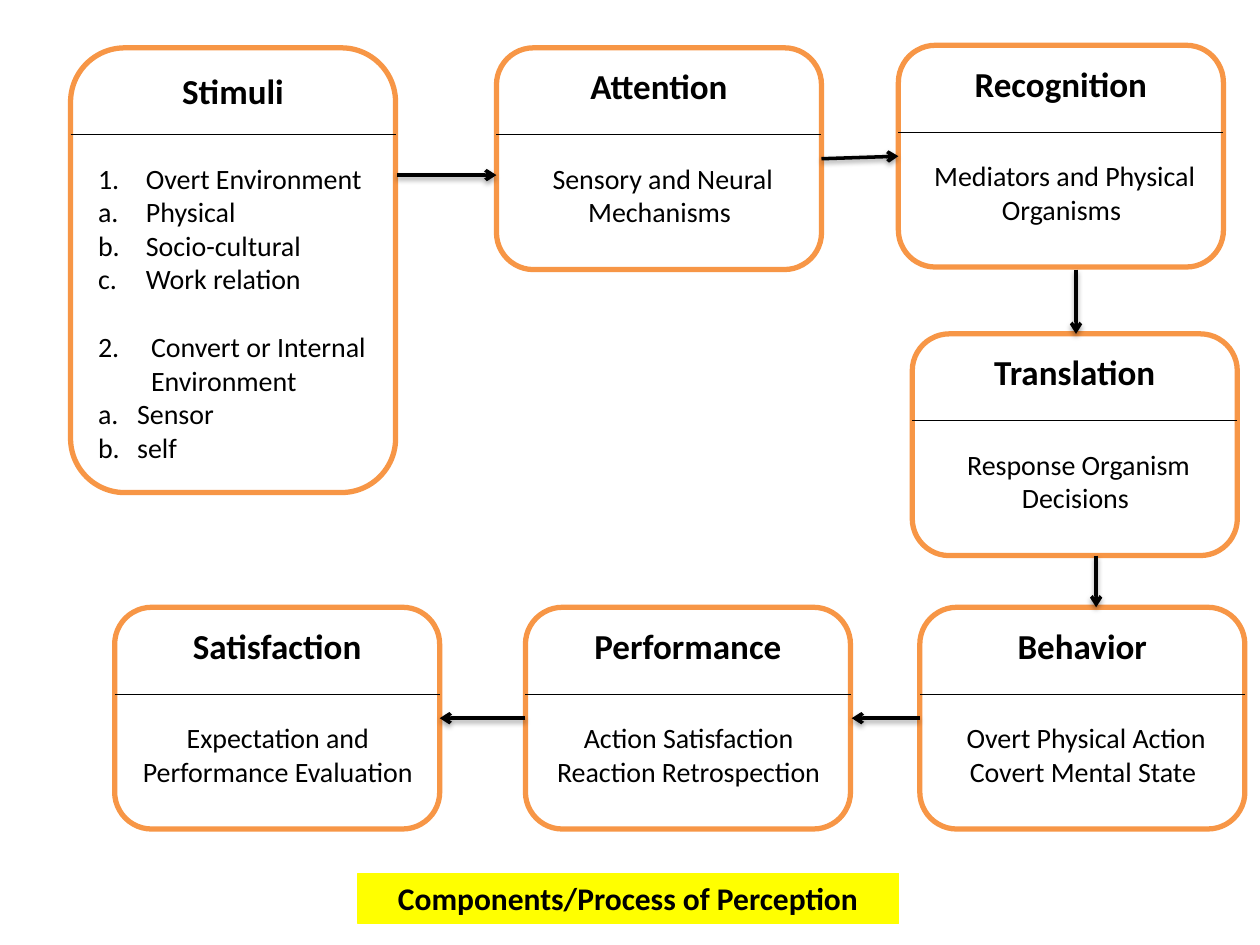
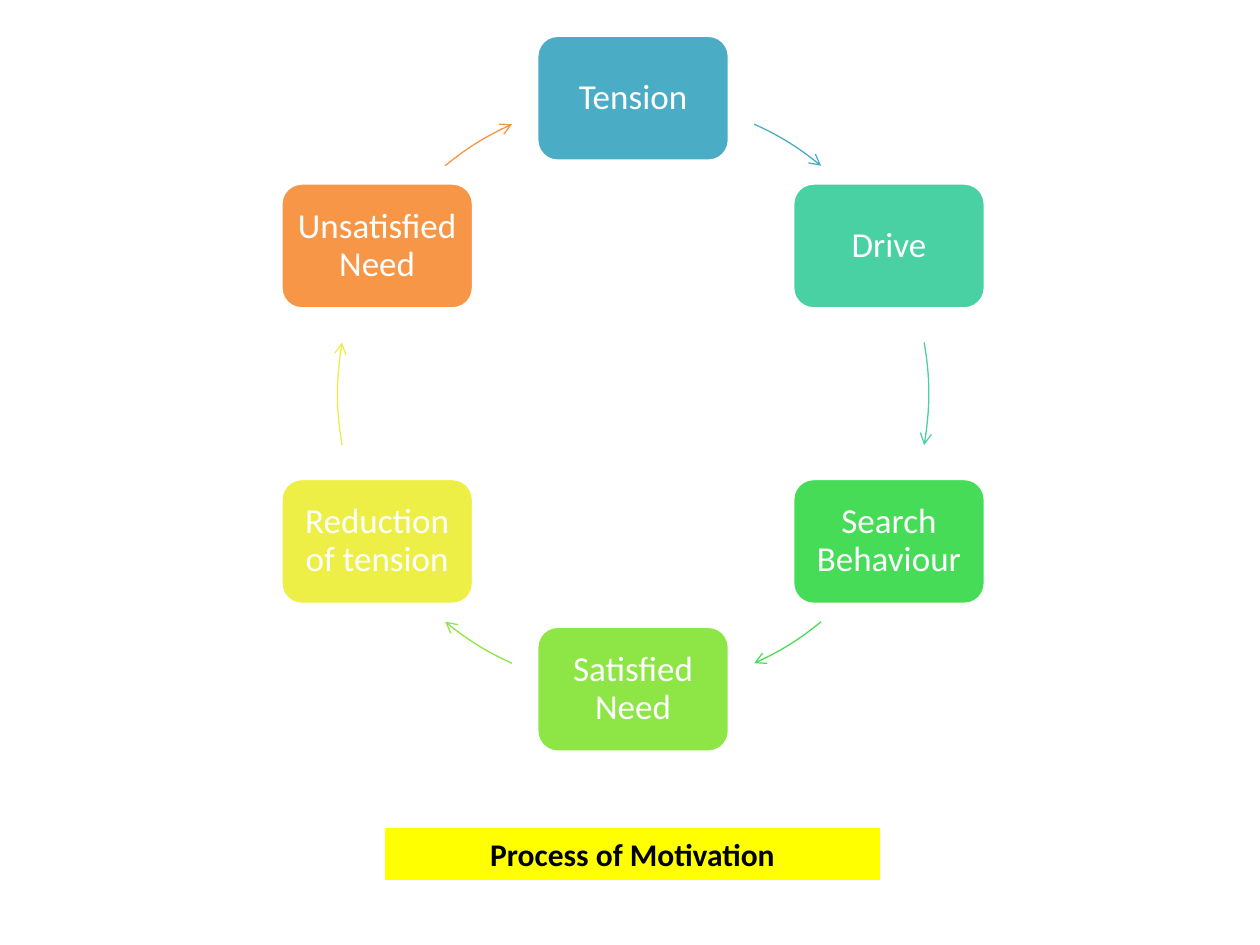
import math

from lxml import etree
from pptx import Presentation
from pptx import util as u
from pptx.dml.color import RGBColor
from pptx.enum import shapes, text
from pptx.oxml.ns import qn

FONT = "Calibri"
BLACK, WHITE, YELLOW, ORANGE = "000000", "FFFFFF", "FFFF00", "F79646"
CARD_WIDTH, CARD_HEIGHT = 2.58, 1.76

# name: (left, top, details)
STAGES = {
    "Attention": (3.94, 0.38, " Sensory and Neural Mechanisms"),
    "Recognition": (7.13, 0.36, " Mediators and Physical Organisms"),
    "Translation": (7.24, 2.65, " Response Organism Decisions"),
    "Behavior": (7.3, 4.82, " Overt Physical Action Covert Mental State"),
    "Performance": (4.17, 4.82, "Action Satisfaction Reaction Retrospection"),
    "Satisfaction": (0.91, 4.82, "Expectation and Performance Evaluation"),
}

FLOW = [
    ((3.15, 1.39), (3.94, 1.39)),
    ((6.52, 1.26), (7.13, 1.24)),
    ((8.54, 2.14), (8.54, 2.65)),
    ((8.7, 4.41), (8.7, 4.82)),
    ((7.3, 5.7), (6.76, 5.7)),
    ((4.17, 5.7), (3.49, 5.7)),
]

# text, numbering scheme, first number, indent, space before in points
STIMULI = [
    ("Overt Environment", "arabicPeriod", 1, 0.38, 0),
    ("Physical", "alphaLcPeriod", 1, 0.38, 0),
    ("Socio-cultural", "alphaLcPeriod", 1, 0.38, 0),
    ("Work relation", "alphaLcPeriod", 1, 0.38, 0),
    ("Convert or Internal Environment", "arabicPeriod", 2, 0.42, 19.5),
    ("Sensor", "alphaLcPeriod", 1, 0.31, 0),
    ("self", "alphaLcPeriod", 1, 0.31, 0),
]

CYCLE = [
    ("Tension", "4BACC6"),
    ("Drive", "49D1A3"),
    ("Search Behaviour", "47DC57"),
    ("Satisfied Need", "8DE646"),
    ("Reduction of tension", "EEEF46"),
    ("Unsatisfied Need", ORANGE),
]
CYCLE_LEFT, CYCLE_TOP, CYCLE_SIZE = 2.68, 0.78, 4.69
CYCLE_RADIUS = CYCLE_SIZE / 2
STEP_WIDTH, STEP_HEIGHT = 1.53, 1
# clockwise degrees from the top
ARC_SPANS = [(24.2, 39.5), (80, 100), (140.5, 155.8),
             (204.2, 219.5), (260, 280), (320.5, 335.8)]


def color(hex_value):
    return RGBColor.from_string(hex_value)


def inches(*lengths):
    return [u.Inches(length) for length in lengths]


def paint(shape, fill, line, width):
    shape.fill.solid()
    shape.fill.fore_color.rgb = color(fill)
    stroke(shape, line, width)


def stroke(shape, line, width):
    shape.line.color.rgb = color(line)
    shape.line.width = u.Pt(width)


def add_arrowhead(shape):
    etree.SubElement(shape.line._get_or_add_ln(), qn("a:tailEnd"), type="arrow")


def write(paragraph, words, size=16, bold=False, ink=BLACK,
          align=text.PP_ALIGN.CENTER, spacing=1.0):
    paragraph.text = words
    paragraph.alignment = align
    paragraph.line_spacing = spacing
    font = paragraph.font
    font.name, font.size, font.bold = FONT, u.Pt(size), bold
    font.color.rgb = color(ink)


def number(paragraph, scheme, start, indent):
    props = paragraph._p.get_or_add_pPr()
    props.set("marL", str(u.Inches(indent)))
    props.set("indent", str(-u.Inches(indent)))
    bullet_font = etree.SubElement(props, qn("a:buFont"))
    bullet_font.set("typeface", "+mj-lt")
    numbering = etree.SubElement(props, qn("a:buAutoNum"), type=scheme)
    if start > 1:
        numbering.set("startAt", str(start))


def add_caption(slide, words, left, top, width):
    """Use the slide title as the yellow strip below the diagram."""
    title = slide.shapes.title
    title.left, title.top, title.width, title.height = inches(left, top, width, 0.4)
    paint(title, YELLOW, YELLOW, 0.75)
    frame = title.text_frame
    frame.auto_size = text.MSO_AUTO_SIZE.NONE
    frame.vertical_anchor = text.MSO_ANCHOR.MIDDLE
    write(frame.paragraphs[0], words, size=18, bold=True)


def add_rounded(slide, left, top, width, height, fill, line, line_width):
    box = slide.shapes.add_shape(shapes.MSO_SHAPE.ROUNDED_RECTANGLE,
                                 *inches(left, top, width, height))
    box.shadow.inherit = False
    paint(box, fill, line, line_width)
    box.text_frame.word_wrap = True
    return box


def add_line(slide, start, end, width):
    """Draw a black line and return it with its empty effect list."""
    line = slide.shapes.add_connector(shapes.MSO_CONNECTOR.STRAIGHT,
                                      *inches(*start, *end))
    stroke(line, BLACK, width)
    effects = etree.SubElement(line._element.spPr, qn("a:effectLst"))
    return line, effects


def add_flow_arrow(slide, start, end):
    arrow, effects = add_line(slide, start, end, 2)
    add_arrowhead(arrow)
    shadow = etree.SubElement(effects, qn("a:outerShdw"), blurRad=str(u.Pt(3.1)),
                              dist=str(u.Pt(1.6)), dir="5400000", rotWithShape="0")
    tint = etree.SubElement(shadow, qn("a:srgbClr"), val=BLACK)
    etree.SubElement(tint, qn("a:alpha"), val="38000")


def add_card(slide, heading, left, top, height=CARD_HEIGHT):
    """Draw a headed card and return the text frame for its details."""
    card = add_rounded(slide, left, top, CARD_WIDTH, height, WHITE, ORANGE, 3)
    card.text_frame.vertical_anchor = text.MSO_ANCHOR.TOP
    write(card.text_frame.paragraphs[0], heading, size=20, bold=True)
    add_line(slide, (left, top + 0.69), (left + CARD_WIDTH, top + 0.69), 0.75)
    details = slide.shapes.add_textbox(
        *inches(left + 0.12, top + 0.85, 2.35, height - 1.12))
    details.text_frame.word_wrap = True
    return details.text_frame


def add_stimuli(slide):
    frame = add_card(slide, "Stimuli", 0.56, 0.38, height=3.53)
    for index, (words, scheme, start, indent, before) in enumerate(STIMULI):
        item = frame.add_paragraph() if index else frame.paragraphs[0]
        number(item, scheme, start, indent)
        write(item, words, align=text.PP_ALIGN.LEFT)
        if before:
            item.space_before = u.Pt(before)


def on_cycle(degrees):
    """Give the point on the cycle, measured from its frame's corner."""
    angle = math.radians(degrees)
    return (CYCLE_RADIUS * (1 + math.sin(angle)),
            CYCLE_RADIUS * (1 - math.cos(angle)))


def add_step(slide, words, fill, degrees):
    x, y = on_cycle(degrees)
    step = add_rounded(slide, CYCLE_LEFT + x - STEP_WIDTH / 2,
                       CYCLE_TOP + y - STEP_HEIGHT / 2,
                       STEP_WIDTH, STEP_HEIGHT, fill, WHITE, 2)
    frame = step.text_frame
    frame.margin_left = frame.margin_right = u.Inches(0.08)
    frame.vertical_anchor = text.MSO_ANCHOR.MIDDLE
    write(frame.paragraphs[0], words, size=20, ink=WHITE, spacing=0.9)


def arc_points(first, last):
    """Give the start, two control points and end of a curve on the cycle."""
    reach = 4 / 3 * math.tan(math.radians(last - first) / 4) * CYCLE_RADIUS

    def along(degrees, distance):
        x, y = on_cycle(degrees)
        angle = math.radians(degrees)
        return x + distance * math.cos(angle), y + distance * math.sin(angle)

    return along(first, 0), along(first, reach), along(last, -reach), along(last, 0)


def add_arc_arrow(slide, first, last, ink):
    """Draw a curved arrow in a frame that spans the whole cycle."""
    left, top, size = inches(CYCLE_LEFT, CYCLE_TOP, CYCLE_SIZE)
    builder = slide.shapes.build_freeform(left, top)
    builder.add_line_segments([(left + size, top + size)], close=False)
    arc = builder.convert_to_shape()
    outline = arc._element.spPr.find(".//" + qn("a:path"))
    for segment in list(outline):
        outline.remove(segment)
    start, *curve = arc_points(first, last)
    for tag, points in (("a:moveTo", [start]), ("a:cubicBezTo", curve)):
        segment = etree.SubElement(outline, qn(tag))
        for x, y in points:
            etree.SubElement(segment, qn("a:pt"),
                             x=str(u.Inches(x)), y=str(u.Inches(y)))
    arc.shadow.inherit = False
    arc.fill.background()
    stroke(arc, ink, 0.75)
    add_arrowhead(arc)


def build_perception(slide):
    add_caption(slide, "Components/Process of Perception", 2.84, 6.93, 4.29)
    add_stimuli(slide)
    for heading, (left, top, details) in STAGES.items():
        frame = add_card(slide, heading, left, top)
        write(frame.paragraphs[0], details)
    for start, end in FLOW:
        add_flow_arrow(slide, start, end)


def build_motivation(slide):
    add_caption(slide, "Process of Motivation", 3.06, 6.58, 3.92)
    for index, ((words, fill), span) in enumerate(zip(CYCLE, ARC_SPANS)):
        add_step(slide, words, fill, index * 360 / len(CYCLE))
        add_arc_arrow(slide, *span, fill)


def main():
    deck = Presentation()
    deck.slide_width, deck.slide_height = inches(10, 7.5)
    title_only = deck.slide_layouts[5]
    for build in (build_perception, build_motivation):
        build(deck.slides.add_slide(title_only))
    deck.save("out.pptx")


if __name__ == "__main__":
    main()
